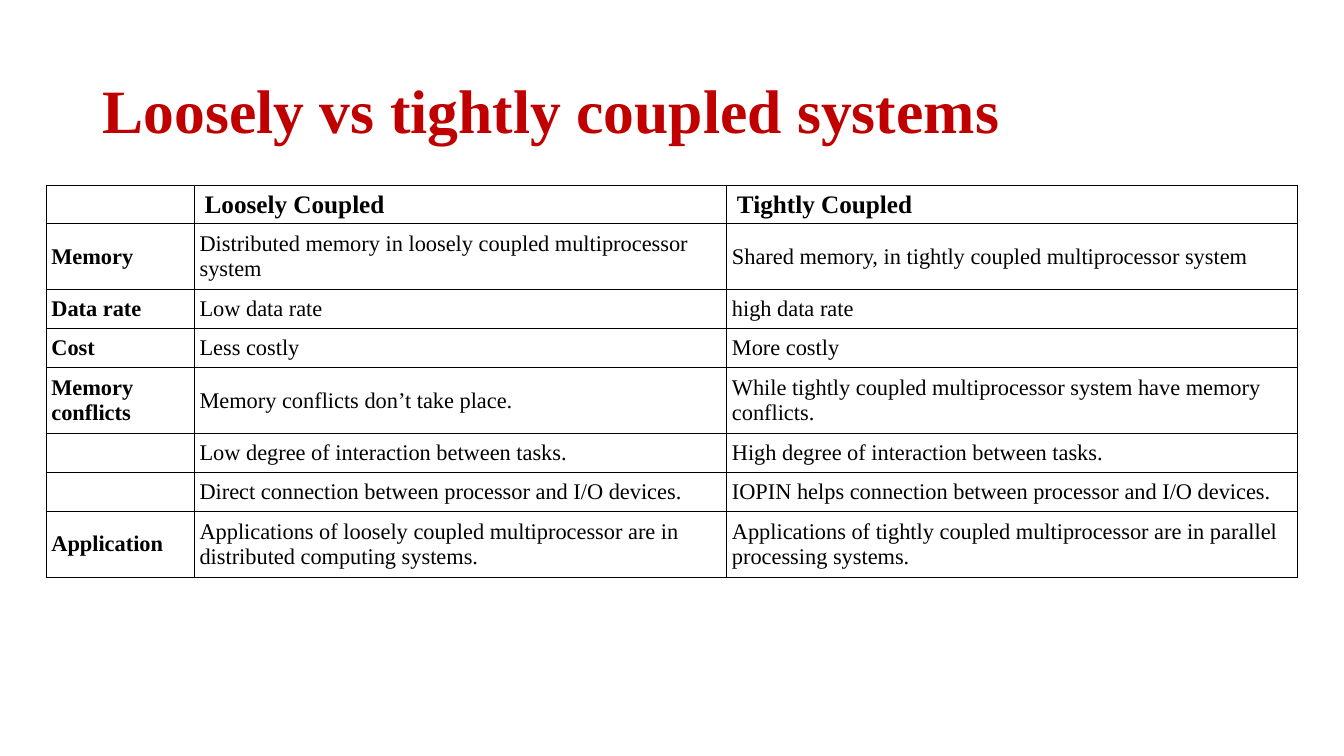
from dataclasses import dataclass

from lxml import etree
from pptx import Presentation
from pptx.dml.color import RGBColor
from pptx.enum import text
from pptx.oxml import ns
from pptx.util import Inches, Pt

FONT = "Times New Roman"
COLORS = {"title": "C00000", "ink": "000000", "paper": "FFFFFF"}
COLUMN_WIDTHS = (1.47, 5.28, 5.66)
ONE_LINE, TWO_LINES = 0.375, 0.62


@dataclass(frozen=True)
class Comparison:
    aspect: str
    loose: str
    tight: str
    height: float = ONE_LINE
    header: bool = False


COMPARISONS = (
    Comparison("", "Loosely Coupled", "Tightly Coupled", header=True),
    Comparison("Memory",
               "Distributed memory in loosely coupled multiprocessor system",
               "Shared memory, in tightly coupled multiprocessor system", TWO_LINES),
    Comparison("Data rate", "Low data rate", "high data rate"),
    Comparison("Cost", "Less costly", "More costly"),
    Comparison("Memory conflicts", "Memory conflicts don’t take place.",
               "While tightly coupled multiprocessor system have memory conflicts.", TWO_LINES),
    Comparison("", "Low degree of interaction between tasks.",
               "High degree of interaction between tasks."),
    Comparison("", "Direct connection between processor and I/O devices.",
               "IOPIN helps connection between processor and I/O devices."),
    Comparison("Application",
               "Applications of loosely coupled multiprocessor are in distributed computing systems.",
               "Applications of tightly coupled multiprocessor are in parallel processing systems.",
               TWO_LINES),
)


def write(frame, words: str, *, size: float, bold: bool = False,
          color: str = "ink", line_spacing: float = 1.0) -> None:
    frame.word_wrap = True
    para = frame.paragraphs[0]
    para.line_spacing = line_spacing
    if not words:
        # An empty cell takes its line height from the end-of-paragraph size.
        end = etree.SubElement(para._p, ns.qn("a:endParaRPr"))
        end.set("sz", str(size * 100))
        return
    span = para.add_run()
    span.text = words
    span.font.name = FONT
    span.font.size = Pt(size)
    span.font.bold = bold
    span.font.color.rgb = RGBColor.from_string(COLORS[color])


def add_borders(cell) -> None:
    properties = cell._tc.get_or_add_tcPr()
    for index, side in enumerate(("lnL", "lnR", "lnT", "lnB")):
        line = etree.Element(ns.qn(f"a:{side}"), w=str(Pt(1)))
        fill = etree.SubElement(line, ns.qn("a:solidFill"))
        etree.SubElement(fill, ns.qn("a:srgbClr"), val=COLORS["ink"])
        properties.insert(index, line)


def fill_cell(cell, words: str, *, header: bool, bold: bool) -> None:
    cell.fill.solid()
    cell.fill.fore_color.rgb = RGBColor.from_string(COLORS["paper"])
    cell.vertical_anchor = text.MSO_ANCHOR.MIDDLE
    cell.margin_left = cell.margin_right = Inches(0.1 if header else 0.05)
    cell.margin_top = cell.margin_bottom = Inches(0.04 if header else 0.06)
    write(cell.text_frame, words, size=18 if header else 16, bold=bold)
    add_borders(cell)


def add_title(page) -> None:
    box = page.shapes.add_textbox(Inches(0.92), Inches(0.4), Inches(11.5), Inches(1.45))
    box.text_frame.vertical_anchor = text.MSO_ANCHOR.MIDDLE
    write(box.text_frame, "Loosely vs tightly coupled systems",
          size=44, bold=True, color="title", line_spacing=0.9)


def add_comparison_table(page) -> None:
    height = sum(comparison.height for comparison in COMPARISONS)
    table = page.shapes.add_table(
        len(COMPARISONS), len(COLUMN_WIDTHS), Inches(0.46), Inches(1.84),
        Inches(sum(COLUMN_WIDTHS)), Inches(height)).table
    table.first_row = table.horz_banding = False
    for column, width in zip(table.columns, COLUMN_WIDTHS):
        column.width = Inches(width)
    for row, comparison in zip(table.rows, COMPARISONS):
        row.height = Inches(comparison.height)
        entries = (comparison.aspect, comparison.loose, comparison.tight)
        for index, (cell, words) in enumerate(zip(row.cells, entries)):
            fill_cell(cell, words, header=comparison.header,
                      bold=comparison.header or index == 0)


def main() -> None:
    deck = Presentation()
    deck.slide_width, deck.slide_height = Inches(13.33), Inches(7.5)
    page = deck.slides.add_slide(deck.slide_layouts[6])
    add_title(page)
    add_comparison_table(page)
    deck.save("out.pptx")


if __name__ == "__main__":
    main()
